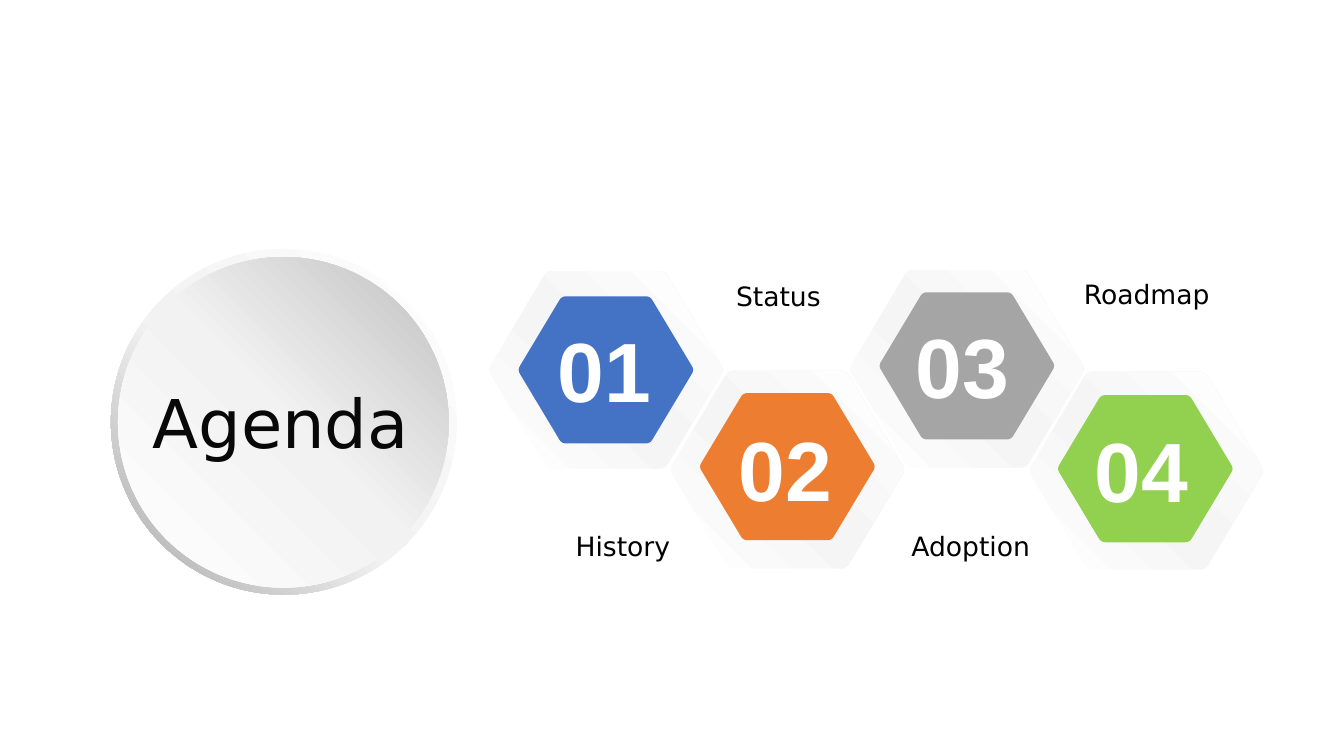
import math
from lxml import etree
from pptx import Presentation
from pptx import util as u
from pptx.dml.color import RGBColor
from pptx.enum import shapes, text
from pptx.oxml.ns import qn

PX = 9144
SANS, ARIAL = "DejaVu Sans", "Arial"
FRAME_STOPS = [(0, "FFFFFF"), (47, "F5F5F5"), (100, "FFFFFF")]


def px(n):
    return u.Emu(round(n * PX))


def rgb(value):
    return RGBColor.from_string(value)


def hexagon_points(cx, cy, w, h, cut=0.05, steps=6):
    radius = w / 2 / (1 - cut / 4)
    corners = [(cx + radius * math.cos(math.radians(a)),
                cy + h / 2 * round(math.sin(math.radians(a)) / math.sin(math.pi / 3)))
               for a in range(0, 360, 60)]
    points = []
    for i, (x, y) in enumerate(corners):
        (ax, ay), (bx, by) = corners[i - 1], corners[(i + 1) % 6]
        for k in range(steps + 1):
            t = k / steps
            before, after = cut * (1 - t) ** 2, cut * t ** 2
            points.append((x + before * (ax - x) + after * (bx - x),
                           y + before * (ay - y) + after * (by - y)))
    return points


class Deck:
    """Style and current slide, with one method per kind of element."""

    def __init__(self, width, height):
        self.prs = Presentation()
        self.prs.slide_width, self.prs.slide_height = px(width), px(height)
        self.s = self.prs.slides.add_slide(self.prs.slide_layouts[6])

    def paint(self, sp, fill, angle=0):
        sp.shadow.inherit = False
        sp.line.fill.background()
        if isinstance(fill, str):
            sp.fill.solid()
            sp.fill.fore_color.rgb = rgb(fill)
            return
        sp.fill.gradient()
        grad = sp._element.spPr.find(qn("a:gradFill"))
        for child in list(grad):
            grad.remove(child)
        stops = etree.SubElement(grad, qn("a:gsLst"))
        for pos, color in fill:
            gs = etree.SubElement(stops, qn("a:gs"), pos=str(pos * 1000))
            etree.SubElement(gs, qn("a:srgbClr"), val=color)
        etree.SubElement(grad, qn("a:lin"), ang=str(angle * 60000), scaled="0")

    def shape(self, kind, x, y, size, fill, angle):
        sp = self.s.shapes.add_shape(kind, px(x), px(y), px(size), px(size))
        self.paint(sp, fill, angle)
        return sp

    def hexagon(self, cx, cy, w, h, fill, angle=0):
        points = [(px(x), px(y)) for x, y in hexagon_points(cx, cy, w, h)]
        builder = self.s.shapes.build_freeform(*points[0])
        builder.add_line_segments(points[1:], close=True)
        self.paint(builder.convert_to_shape(), fill, angle)

    def text(self, x, y, w, h, words, size, font=SANS, color="000000",
             bold=False, align=text.PP_ALIGN.LEFT, inset=(13, 7)):
        tf = self.s.shapes.add_textbox(px(x), px(y), px(w), px(h)).text_frame
        tf.word_wrap = True
        tf.margin_left = tf.margin_right = px(inset[0])
        tf.margin_top = tf.margin_bottom = px(inset[1])
        p = tf.paragraphs[0]
        p.alignment = align
        r = p.add_run()
        r.text = words
        r.font.size, r.font.name, r.font.bold = u.Pt(size), font, bold
        r.font.color.rgb = rgb(color)

    def badge(self, number, frame, core, label, color):
        self.hexagon(*frame, 234, 198, "FFFFFF")
        self.hexagon(*frame, 231, 196, FRAME_STOPS, 315)
        self.hexagon(*core, 173, 146, color)
        self.text(*label, 124, 111, number, 60, ARIAL, "FFFFFF", True, inset=(10, 5))


def main():
    deck = Deck(1333, 750)
    ring = deck.shape(shapes.MSO_SHAPE.DONUT, 110, 247, 343,
                      [(0, "FFFFFF"), (55, "F2F2F2"), (100, "A6A6A6")], 135)
    ring.adjustments[0] = 0.05
    deck.shape(shapes.MSO_SHAPE.OVAL, 117, 255, 328,
               [(0, "FFFFFF"), (51, "F2F2F2"), (100, "BFBFBF")], 315)
    deck.text(123, 371, 311, 94, "Agenda", 48, color="080808",
              align=text.PP_ALIGN.CENTER)

    for badge in [
        ("03", (959, 366), (959, 363), (898, 307), "A5A5A5"),
        ("01", (601, 367), (601, 367), (543, 311), "4472C4"),
        ("02", (781, 466), (781, 463), (723, 409), "ED7D31"),
        ("04", (1137, 467), (1136, 465), (1076, 410), "92D050"),
    ]:
        deck.badge(*badge)

    for words, x, y, w in [("History", 558, 519, 140), ("Status", 717, 271, 172),
                           ("Adoption", 891, 519, 158), ("Roadmap", 1062, 269, 191)]:
        deck.text(x, y, w, 45, words, 19)

    deck.prs.save("out.pptx")


if __name__ == "__main__":
    main()
